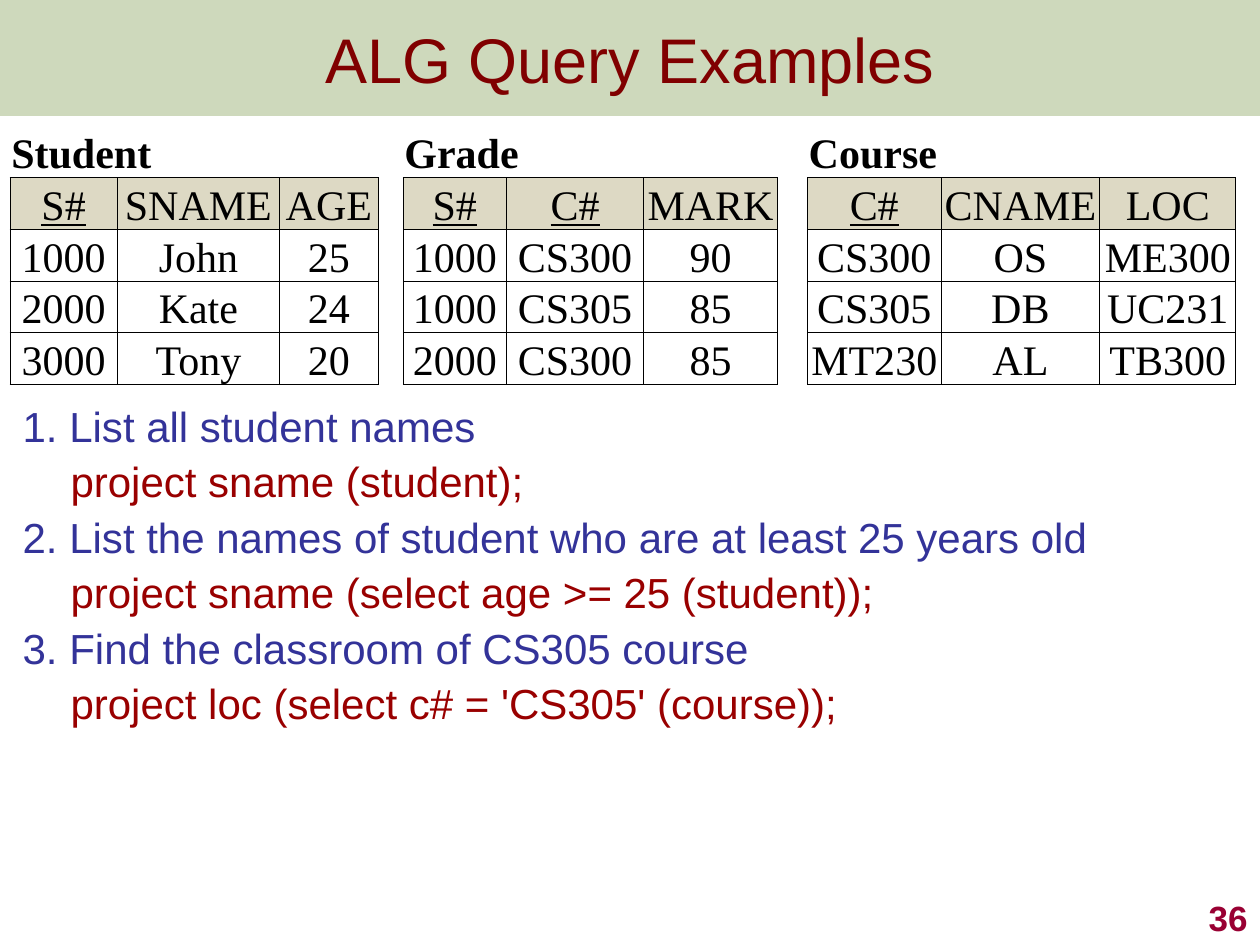
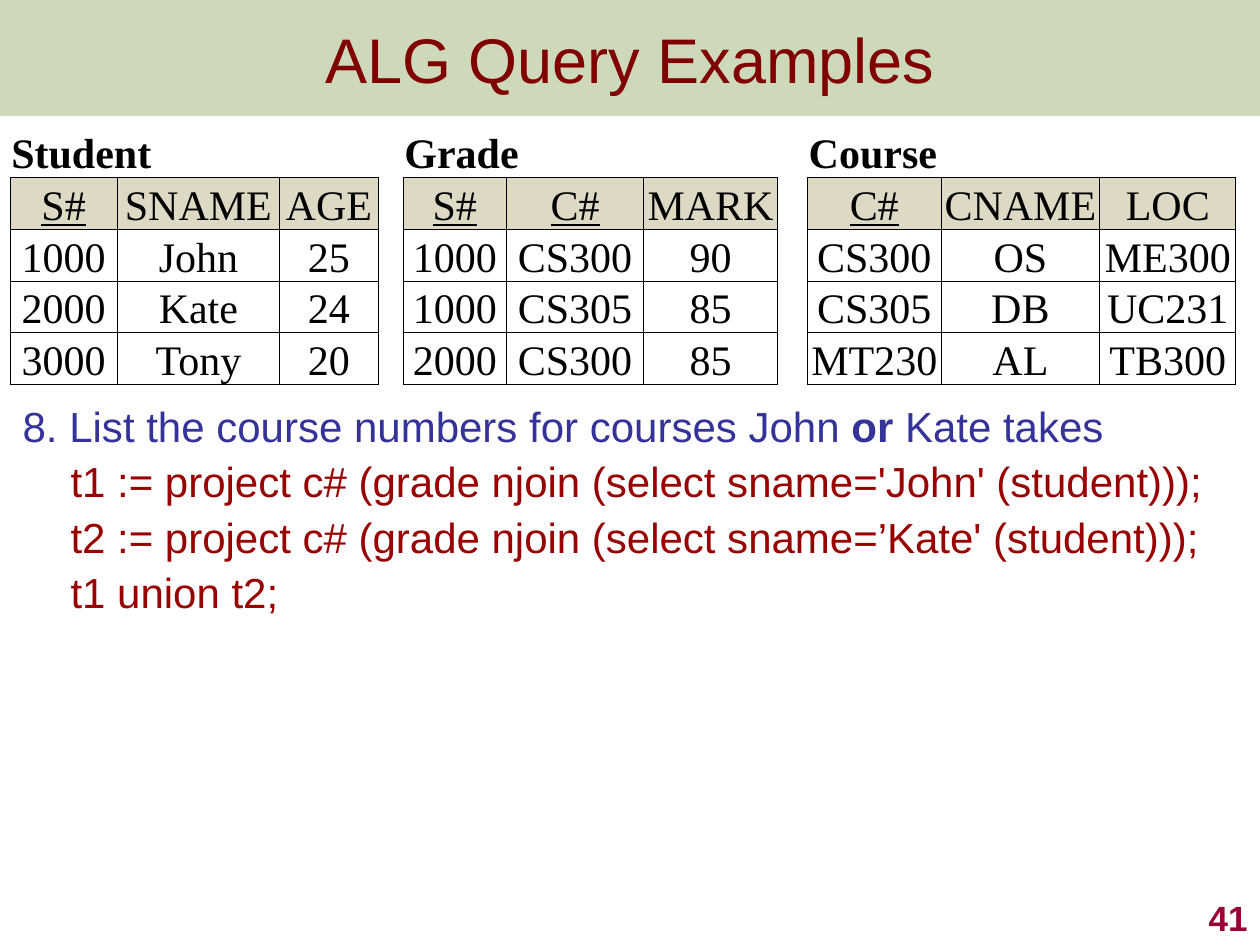
from lxml import etree
from pptx import Presentation
from pptx.dml.color import RGBColor
from pptx.enum.text import MSO_ANCHOR, MSO_AUTO_SIZE, PP_ALIGN
from pptx.oxml.ns import qn
from pptx.util import Inches, Pt

LEFT, CENTER, RIGHT = PP_ALIGN.LEFT, PP_ALIGN.CENTER, PP_ALIGN.RIGHT
MIDDLE, BOTTOM = MSO_ANCHOR.MIDDLE, MSO_ANCHOR.BOTTOM
NO_FIT = MSO_AUTO_SIZE.NONE

SANS, SERIF = "Arial", "Times New Roman"
BAND, MAROON, WINE = "5F8422", "800000", "990033"
BLUE, RED, BLACK = "333399", "990000", "000000"
WHITE, TAN = "FFFFFF", "DDD9C4"
PLAIN = "{2D5ABB26-0587-4C30-8999-92F81FD0307C}"

COLS = [0.85, 1.29, 0.78, 0.2, 0.82, 1.09, 1.06, 0.24, 1.06, 1.26, 1.08]
ROW = 0.38
GAPS = (3, 7)
NAMES = {0: "Student", 4: "Grade", 8: "Course"}
ROWS = [
    ["S#", "SNAME", "AGE", "", "S#", "C#", "MARK", "", "C#", "CNAME", "LOC"],
    ["1000", "John", "25", "", "1000", "CS300", "90", "", "CS300", "OS", "ME300"],
    ["2000", "Kate", "24", "", "1000", "CS305", "85", "", "CS305", "DB", "UC231"],
    ["3000", "Tony", "20", "", "2000", "CS300", "85", "", "MT230", "AL", "TB300"],
]

BASICS = [
    (BLUE, "1. List all student names"),
    (RED, "project sname (student);"),
    (BLUE, "2. List the names of student who are at least 25 years old"),
    (RED, "project sname (select age >= 25 (student));"),
    (BLUE, "3. Find the classroom of CS305 course"),
    (RED, "project loc (select c# = 'CS305' (course));"),
]
UNION = [
    (BLUE, "8. List the course numbers for courses John |or| Kate takes"),
    (RED, "t1 := project c# (grade njoin (select sname='John' (student)));"),
    (RED, "t2 := project c# (grade njoin (select sname=’Kate' (student)));"),
    (RED, "t1 union t2;"),
]


def color(hex):
    return RGBColor.from_string(hex)


def paint(fill, hex):
    fill.solid()
    fill.fore_color.rgb = color(hex)


def style(para, face, size, hex, align=LEFT, bold=None):
    para.alignment = align
    font = para.font
    font.name, font.size, font.bold = face, Pt(size), bold
    font.color.rgb = color(hex)


def place(shape, left, top, width, height):
    shape.left, shape.top = Inches(left), Inches(top)
    shape.width, shape.height = Inches(width), Inches(height)


def add_title(slide, text):
    title = slide.shapes.title
    place(title, 0, 0, 10, 0.92)
    paint(title.fill, BAND)
    tint = title._element.spPr.find(".//" + qn("a:srgbClr"))
    etree.SubElement(tint, qn("a:alpha"), val="30000")
    frame = title.text_frame
    frame.text = text
    frame.auto_size, frame.vertical_anchor = NO_FIT, MIDDLE
    style(frame.paragraphs[0], SANS, 36, MAROON, CENTER)


def add_list(slide, lines, width):
    body = slide.placeholders[1]
    place(body, 0.08, 3.17, width, 2.67)
    frame = body.text_frame
    frame.auto_size = NO_FIT
    frame.margin_right = 0
    for i, (hex, text) in enumerate(lines):
        para = frame.add_paragraph() if i else frame.paragraphs[0]
        props = para._p.get_or_add_pPr()
        props.set("marL", str(Inches(0.38)))
        props.set("indent", str(Inches(-0.38) if hex == BLUE else 0))
        etree.SubElement(props, qn("a:buNone"))
        para.line_spacing = 0.9
        para.space_before = Pt(5.8 if i else 0)
        style(para, SANS, 24, hex)
        for j, part in enumerate(text.split("|")):
            run = para.add_run()
            run.text = part
            if j % 2:
                run.font.bold = True


def add_page(slide, num):
    box = slide.shapes.add_textbox(Inches(7.92), Inches(7), Inches(2.08), Inches(0.5))
    frame = box.text_frame
    frame.word_wrap, frame.vertical_anchor = True, BOTTOM
    frame.text = str(num)
    style(frame.paragraphs[0], SANS, 20, WINE, RIGHT, True)


def edge(cell, sides):
    props = cell._tc.get_or_add_tcPr()
    for side in sides:
        line = etree.SubElement(props, qn("a:ln" + side), w=str(Pt(0.5)))
        fill = etree.SubElement(line, qn("a:solidFill"))
        etree.SubElement(fill, qn("a:srgbClr"), val=BLACK)


def fill_cell(cell, text, sides, hex=WHITE, align=CENTER, bold=False):
    edge(cell, sides)
    paint(cell.fill, hex)
    cell.margin_left = cell.margin_right = cell.margin_top = Inches(0.01)
    cell.margin_bottom = 0
    cell.vertical_anchor = BOTTOM
    cell.text = text
    para = cell.text_frame.paragraphs[0]
    style(para, SERIF, 24, BLACK, align, bold)
    if text.endswith("#"):
        para.font.underline = True


def add_grid(slide):
    count = len(ROWS) + 1
    frame = slide.shapes.add_table(count, len(COLS), Inches(0.08), Inches(1),
                                   Inches(sum(COLS)), Inches(ROW * count))
    grid = frame.table
    grid.first_row = grid.horz_banding = False
    grid._tbl.tblPr.find(qn("a:tableStyleId")).text = PLAIN
    for col, width in zip(grid.columns, COLS):
        col.width = Inches(width)
    for row in grid.rows:
        row.height = Inches(ROW)
    for c in range(len(COLS)):
        sides = "" if c in GAPS else "B"
        fill_cell(grid.cell(0, c), NAMES.get(c, ""), sides, align=LEFT, bold=True)
    for c in NAMES:
        grid.cell(0, c).merge(grid.cell(0, c + 2))
    for r, row in enumerate(ROWS, 1):
        for c, text in enumerate(row):
            sides = "LR" if c in GAPS else "LRTB"
            hex = TAN if r == 1 and c not in GAPS else WHITE
            fill_cell(grid.cell(r, c), text, sides, hex)


def add_slide(deck, lines, width, num):
    slide = deck.slides.add_slide(deck.slide_layouts[1])
    add_title(slide, "ALG Query Examples")
    add_list(slide, lines, width)
    add_page(slide, num)
    add_grid(slide)


def main():
    deck = Presentation()
    deck.slide_width, deck.slide_height = Inches(10), Inches(7.5)
    add_slide(deck, BASICS, 9.07, 36)
    add_slide(deck, UNION, 9.67, 41)
    deck.save("out.pptx")


if __name__ == "__main__":
    main()
